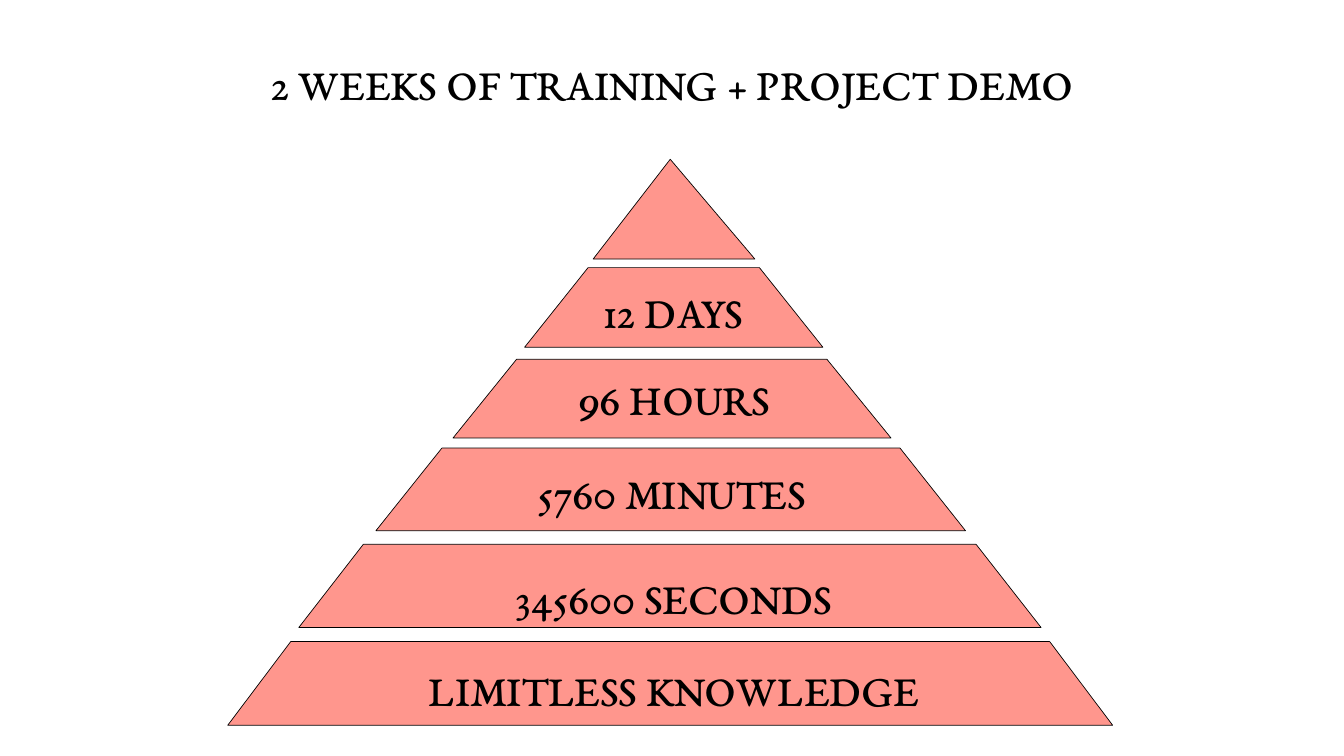
from dataclasses import dataclass

from pptx import Presentation
from pptx.dml.color import RGBColor
from pptx.enum.text import MSO_ANCHOR as Anchor, MSO_AUTO_SIZE as AutoSize, PP_ALIGN as Align
from pptx.slide import Slide
from pptx.text.text import TextFrame
from pptx.util import Emu, Pt

PX = 9144
FONT = "EB Garamond"
INK = "000000"
SALMON = "FF968D"


@dataclass
class Tier:
    top: int
    bottom: int
    top_xs: tuple[int, ...]
    bottom_xs: tuple[int, int]


@dataclass
class Label:
    text: str
    left: int
    top: int
    width: int
    height: int
    inset: int = 0
    anchor: Anchor = Anchor.MIDDLE
    spacing: float = 1.1


TIERS = [
    Tier(1080, 1245, (721, 1937), (593, 2066)),
    Tier(889, 1053, (877, 1786), (746, 1916)),
    Tier(713, 869, (1025, 1641), (899, 1768)),
    Tier(531, 689, (1167, 1507), (1041, 1633)),
    Tier(1273, 1439, (577, 2083), (452, 2208)),
    Tier(316, 514, (1330,), (1177, 1498)),
]

LABELS = [
    Label("345600 SECONDS", 358, 1124, 1958, 107),
    Label("12 DAYS", 1105, 553, 464, 127, 10, Anchor.TOP, 1.0),
    Label("96 HOURS", 1051, 725, 573, 127, 10, Anchor.TOP, 1.0),
    Label("5760 MINUTES", 909, 912, 849, 127, 10, Anchor.TOP, 1.0),
    Label("LIMITLESS KNOWLEDGE", 358, 1308, 1958, 107),
]


def px(n: int) -> Emu:
    return Emu(n * PX)


def rgb(value: str) -> RGBColor:
    return RGBColor.from_string(value)


def set_text(tf: TextFrame, text: str, inset: int, anchor: Anchor, spacing: float) -> None:
    tf.word_wrap = True
    tf.vertical_anchor = anchor
    tf.margin_left = tf.margin_right = tf.margin_top = tf.margin_bottom = px(inset)
    p = tf.paragraphs[0]
    p.text = text
    p.alignment = Align.CENTER
    p.line_spacing = spacing
    p.font.name = FONT
    p.font.size = Pt(64)
    p.font.color.rgb = rgb(INK)


def add_title(s: Slide, text: str) -> None:
    sp = s.shapes.title
    sp.left, sp.top, sp.width, sp.height = px(0), px(47), px(2667), px(335)
    tf = sp.text_frame
    tf.auto_size = AutoSize.NONE
    set_text(tf, text, 0, Anchor.MIDDLE, 1.1)
    tf.margin_bottom = px(110)


def add_tier(s: Slide, tier: Tier) -> None:
    left, right = tier.bottom_xs
    builder = s.shapes.build_freeform(left, tier.bottom, scale=PX)
    corners = [(x, tier.top) for x in tier.top_xs] + [(right, tier.bottom)]
    builder.add_line_segments(corners, close=True)
    sp = builder.convert_to_shape()
    sp.shadow.inherit = False
    sp.fill.solid()
    sp.fill.fore_color.rgb = rgb(SALMON)
    sp.line.color.rgb = rgb(INK)
    sp.line.width = Pt(1)


def add_label(s: Slide, label: Label) -> None:
    sp = s.shapes.add_textbox(px(label.left), px(label.top), px(label.width), px(label.height))
    sp.text_frame.auto_size = AutoSize.SHAPE_TO_FIT_TEXT
    set_text(sp.text_frame, label.text, label.inset, label.anchor, label.spacing)


def main() -> None:
    prs = Presentation()
    prs.slide_width, prs.slide_height = px(2667), px(1500)
    s = prs.slides.add_slide(prs.slide_layouts[5])
    add_title(s, "2 WEEKS OF TRAINING + PROJECT DEMO")
    for tier in TIERS:
        add_tier(s, tier)
    for label in LABELS:
        add_label(s, label)
    prs.save("out.pptx")


if __name__ == "__main__":
    main()
